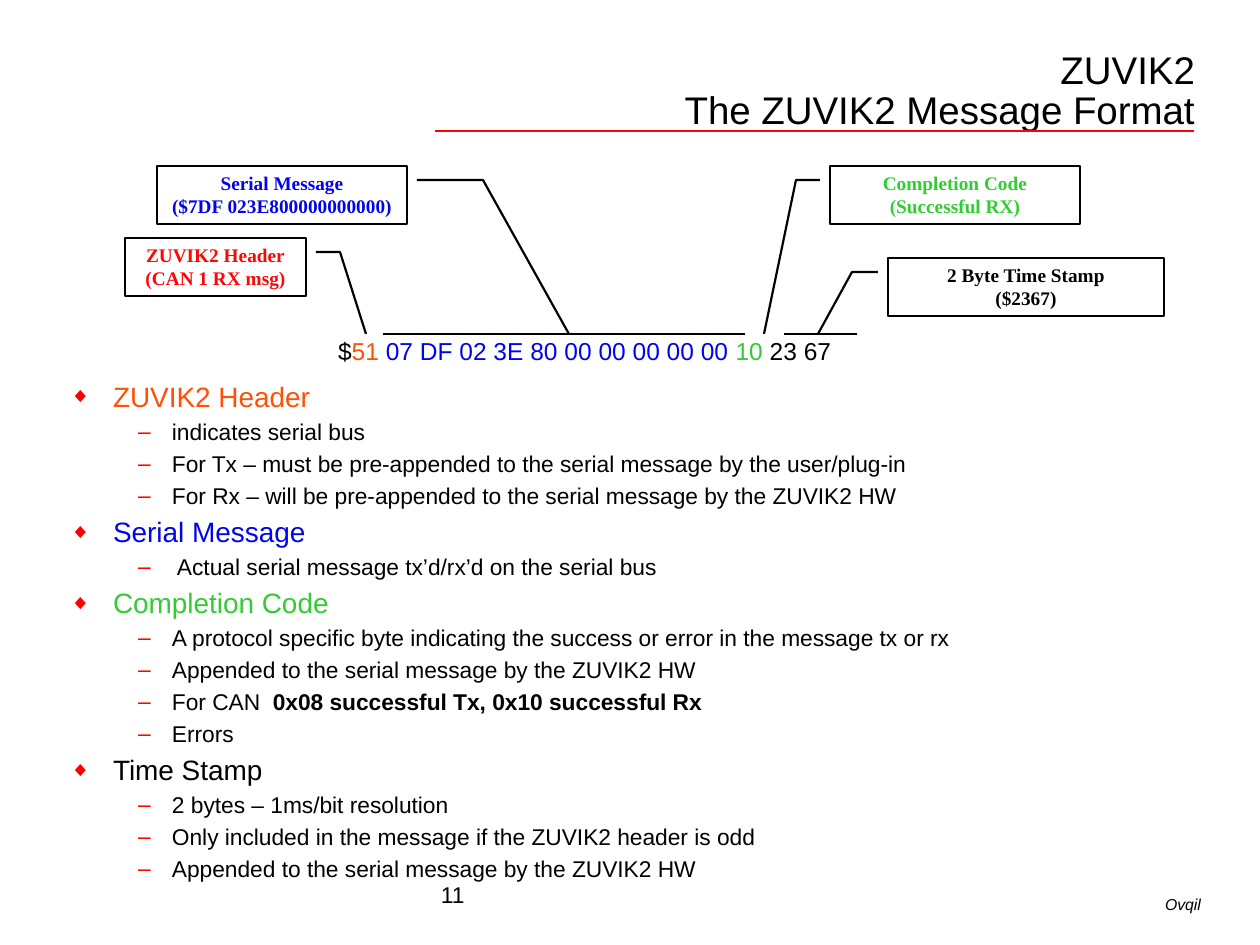
import dataclasses

import lxml.etree
import pptx
import pptx.dml.color
import pptx.enum.shapes
import pptx.enum.text
import pptx.oxml.ns
import pptx.util

PX_PER_INCH = 126
ALIGN = pptx.enum.text.PP_ALIGN
ANCHOR = pptx.enum.text.MSO_ANCHOR


@dataclasses.dataclass(frozen=True)
class Theme:
    black: str = "000000"
    red: str = "FF0000"
    header_red: str = "FE0606"
    orange: str = "FF5008"
    blue: str = "0004EE"
    green: str = "33CC33"
    sans: str = "Arial"
    serif: str = "Times New Roman"
    title: int = 22
    heading: int = 16
    message: int = 14
    body: int = 13
    callout: int = 11
    footer: int = 9
    line: float = 1.25
    spacing: float = 0.88


THEME = Theme()

CALLOUTS = [
    ((0, 72, 181), (191, 215, 241), ("ZUVIK2 Header", "(CAN 1 RX msg)"), THEME.header_red),
    ((32, 0, 250), (260, 326, 412), ("Serial Message", "($7DF 023E800000000000)"), THEME.blue),
    ((705, 0, 250), (-10, -34, -66), ("Completion Code", "(Successful RX)"), THEME.green),
    ((763, 92, 276), (-10, -36, -70), ("2 Byte Time Stamp", "($2367)"), THEME.black),
]
MESSAGE = [
    ("$", THEME.black),
    ("51 ", THEME.orange),
    ("07 DF 02 3E 80 00 00 00 00 00 ", THEME.blue),
    ("10", THEME.green),
    (" 23 67", THEME.black),
]
SECTIONS = [
    ("ZUVIK2 Header", THEME.orange, [
        ["indicates serial bus"],
        ["For Tx – must be pre-appended to the serial message by the user/plug-in"],
        ["For Rx – will be pre-appended to the serial message by the ZUVIK2 HW"],
    ]),
    ("Serial Message", THEME.blue, [
        [" Actual serial message tx’d/rx’d on the serial bus"],
    ]),
    ("Completion Code", THEME.green, [
        ["A protocol specific byte indicating the success or error in the message tx or rx"],
        ["Appended to the serial message by the ZUVIK2 HW"],
        ["For CAN  ", "0x08 successful Tx, 0x10 successful Rx"],
        ["Errors"],
    ]),
    ("Time Stamp", THEME.black, [
        ["2 bytes – 1ms/bit resolution"],
        ["Only included in the message if the ZUVIK2 header is odd"],
        ["Appended to the serial message by the ZUVIK2 HW"],
    ]),
]


def px(length):
    return pptx.util.Emu(round(length * 914400 / PX_PER_INCH))


def rgb(color):
    return pptx.dml.color.RGBColor.from_string(color)


def place(shape, left, top, width, height):
    shape.left, shape.top, shape.width, shape.height = map(px, (left, top, width, height))


def set_frame(shape, horizontal, vertical, anchor=ANCHOR.TOP):
    frame = shape.text_frame
    frame.word_wrap = True
    frame.auto_size = pptx.enum.text.MSO_AUTO_SIZE.NONE
    frame.vertical_anchor = anchor
    frame.margin_left = frame.margin_right = px(horizontal)
    frame.margin_top = frame.margin_bottom = px(vertical)
    return frame


def next_paragraph(frame, first):
    return frame.paragraphs[0] if first else frame.add_paragraph()


def add_run(paragraph, text, size, color=THEME.black, name=THEME.sans, bold=False, italic=False):
    run = paragraph.add_run()
    run.text = text
    font = run.font
    font.size, font.name, font.bold, font.italic = pptx.util.Pt(size), name, bold, italic
    font.color.rgb = rgb(color)


def set_list_style(paragraph, margin, hanging, size, first=False, bullet=None, scale=100):
    paragraph.line_spacing = THEME.spacing
    paragraph.space_before = pptx.util.Pt(0 if first else round(size * 0.345, 1))
    properties = paragraph._p.get_or_add_pPr()
    properties.set("marL", str(px(margin)))
    properties.set("indent", str(px(-hanging)))

    def add(parent, tag, **attributes):
        return lxml.etree.SubElement(parent, pptx.oxml.ns.qn(tag), **attributes)

    if bullet is None:
        add(properties, "a:buNone")
        return
    add(add(properties, "a:buClr"), "a:srgbClr", val=THEME.red)
    add(properties, "a:buSzPct", val=str(scale * 1000))
    add(properties, "a:buFont", typeface=THEME.sans)
    add(properties, "a:buChar", char=bullet)


def add_rule(slide, start, end, y, color, width):
    kind = pptx.enum.shapes.MSO_CONNECTOR.STRAIGHT
    line = slide.shapes.add_connector(kind, px(start), px(y), px(end), px(y))
    line.line.color.rgb = rgb(color)
    line.line.width = pptx.util.Pt(width)
    lxml.etree.SubElement(line._element.spPr, pptx.oxml.ns.qn("a:effectLst"))


def add_header(slide, left, top, width, height):
    add_rule(slide, left + 41, left + width - 1, top + height - 1, THEME.red, 1)
    title = slide.shapes.title
    place(title, left, top, width, height)
    paragraph = set_frame(title, 0, 0, ANCHOR.BOTTOM).paragraphs[0]
    paragraph.alignment = ALIGN.RIGHT
    paragraph.line_spacing = 0.85
    add_run(paragraph, "ZUVIK2", THEME.title)
    paragraph.add_line_break()
    add_run(paragraph, "The ZUVIK2 Message Format", THEME.title)


def add_callout(slide, left, top, width, height, leader, tip, lines, color):
    kind = pptx.enum.shapes.MSO_SHAPE.LINE_CALLOUT_2
    shape = slide.shapes.add_shape(kind, px(left), px(top), px(width), px(height))
    for index, (x, y) in enumerate(zip(leader, (14, 14, tip))):
        shape.adjustments[2 * index] = y / height
        shape.adjustments[2 * index + 1] = x / width
    shape.shadow.inherit = False
    shape.fill.background()
    shape.line.color.rgb = rgb(THEME.black)
    shape.line.width = pptx.util.Pt(THEME.line)
    frame = set_frame(shape, 11, 5)
    for index, text in enumerate(lines):
        paragraph = next_paragraph(frame, index == 0)
        paragraph.alignment = ALIGN.CENTER
        add_run(paragraph, text, THEME.callout, color, THEME.serif, bold=True)


def add_message_diagram(slide, left, top, width, height):
    baseline = height - 45
    message = slide.placeholders[1]
    place(message, left + 200, top + baseline, 659, 45)
    paragraph = set_frame(message, 13, 6).paragraphs[0]
    set_list_style(paragraph, 38, 38, THEME.message, first=True)
    for text, color in MESSAGE:
        add_run(paragraph, text, THEME.message, color)
    for (x, y, box_width), leader, lines, color in CALLOUTS:
        add_callout(slide, left + x, top + y, box_width, 58, leader, baseline - y, lines, color)
    for start, end in ((258, 620), (659, 732)):
        add_rule(slide, left + start, left + end, top + baseline, THEME.black, THEME.line)


def add_field_list(slide, left, top, width, height):
    body = slide.placeholders[2]
    place(body, left, top, width, height)
    frame = set_frame(body, 13, 6)
    for index, (heading, color, items) in enumerate(SECTIONS):
        paragraph = next_paragraph(frame, index == 0)
        set_list_style(paragraph, 43, 43, THEME.heading, index == 0, "◆", 75)
        add_run(paragraph, heading, THEME.heading, color)
        for item in items:
            paragraph = frame.add_paragraph()
            paragraph.level = 1
            set_list_style(paragraph, 102, 34, THEME.body, bullet="–")
            for position, text in enumerate(item):
                add_run(paragraph, text, THEME.body, bold=position > 0)


def add_label(slide, left, top, width, height, text, size, alignment, anchor, italic=False):
    box = slide.shapes.add_textbox(px(left), px(top), px(width), px(height))
    paragraph = set_frame(box, 11, 5, anchor).paragraphs[0]
    paragraph.alignment = alignment
    add_run(paragraph, text, size, italic=italic)


def add_footer(slide, left, top, width, height):
    add_label(slide, left, top, 401, height, "11", THEME.body, ALIGN.LEFT, ANCHOR.MIDDLE)
    add_label(slide, left + 401, top + 28, width - 401, 30, "Ovqil", THEME.footer,
              ALIGN.RIGHT, ANCHOR.TOP, italic=True)


def main():
    presentation = pptx.Presentation()
    presentation.slide_width, presentation.slide_height = px(1260), px(945)
    slide = presentation.slides.add_slide(presentation.slide_layouts[3])
    for placeholder in list(slide.placeholders):
        if placeholder.placeholder_format.idx > 2:
            placeholder._element.getparent().remove(placeholder._element)
    add_header(slide, 394, 11, 801, 121)
    add_message_diagram(slide, 125, 166, 1039, 213)
    add_field_list(slide, 57, 378, 1149, 481)
    add_footer(slide, 430, 862, 782, 64)
    presentation.save("out.pptx")


if __name__ == "__main__":
    main()
